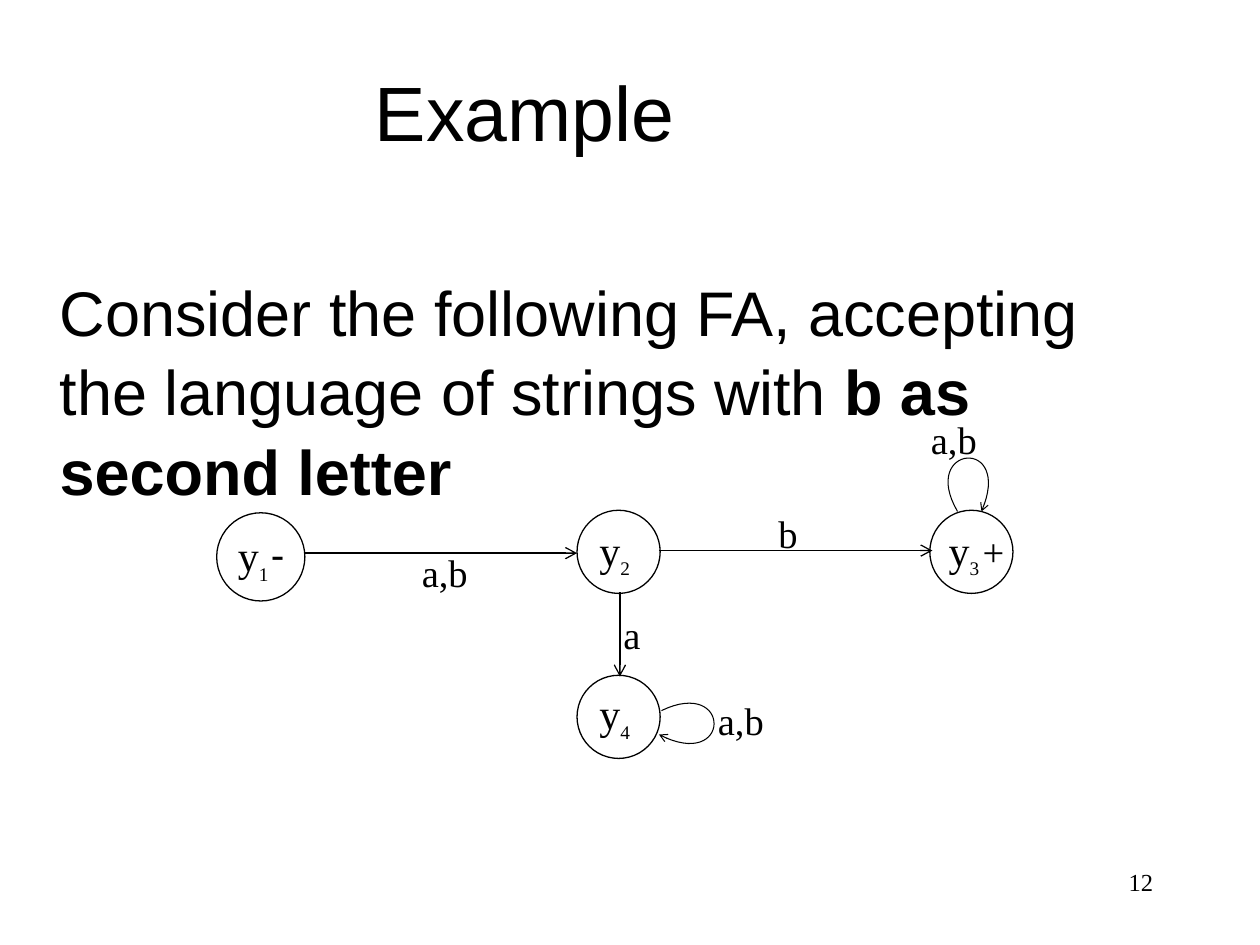
from lxml.etree import SubElement
from pptx import Presentation
from pptx.dml.color import RGBColor
from pptx.enum.shapes import MSO_CONNECTOR, MSO_SHAPE
from pptx.enum.text import MSO_ANCHOR, PP_ALIGN
from pptx.oxml.ns import qn
from pptx.util import Inches, Pt

COLORS = {"ink": "000000", "paper": "FFFFFF"}
SERIF, SANS, SIGN = "Times New Roman", "Arial", "Roboto"
COLS, ROWS = 100, 75  # square grid cells over the slide
CURVE_STEPS = 32

# name: (column, row, diameter, label offset, subscript, sign, sign size, sign font)
STATES = {
    "y1": (0.2, 8.7, 7, (0.7, 0.8), "1", "-", 24, SIGN),
    "y2": (28.8, 8.5, 6.6, (0.8, 0.6), "2", "", 0, ""),
    "y3": (56.8, 8.5, 6.6, (0.5, 0.6), "3", "+", 22, SERIF),
    "y4": (28.8, 21.6, 6.6, (0.8, 0.5), "4", "", 0, ""),
}
ARROWS = [((7.2, 11.9), (28.8, 11.9)), ((35.3, 11.7), (57, 11.7)),
          ((32.2, 15), (32.2, 21.7))]
# Cubic control points: start, two handles, end
LOOPS = [((59, 8.6), (55.9, 3.3), (63.5, 2.6), (60.9, 8.6)),
         ((35.5, 24.4), (41.1, 21.7), (41.1, 29.3), (35.3, 26.3))]
LETTERS = [("a,b", 55.9, 0.5), ("b", 43.8, 8), ("a,b", 15.5, 11.1),
           ("a,b", 39, 22.8), ("a", 31.5, 16)]


def cell(n):
    return Inches(10 * n / COLS)


def color(name):
    return RGBColor.from_string(COLORS[name])


def set_font(font, name, size):
    font.name, font.size = name, Pt(size)
    font.color.rgb = color("ink")


def add_text(slide, box, text, name, size, wrap=True):
    sp = slide.shapes.add_textbox(*map(cell, box))
    tf = sp.text_frame
    tf.word_wrap = wrap
    p = tf.paragraphs[0]
    set_font(p.font, name, size)
    if text:
        p.add_run().text = text
    return p


def style_line(sp, width, head="med"):
    """Thin ink line with an open arrowhead at its end and no shadow."""
    sp.line.color.rgb = color("ink")
    sp.line.width = Pt(width)
    ln = sp.line._get_or_add_ln()
    SubElement(ln, qn("a:tailEnd"), type="arrow", w=head, len=head)


def add_state(slide, x, y, state):
    col, row, size, (dx, dy), index, sign, sign_size, sign_font = state
    x, y = x + col, y + row
    sp = slide.shapes.add_shape(MSO_SHAPE.OVAL, *map(cell, (x, y, size, size)))
    sp.shadow.inherit = False
    sp.fill.solid()
    sp.fill.fore_color.rgb = color("paper")
    sp.line.color.rgb = color("ink")
    sp.line.width = Pt(0.75)

    p = add_text(slide, (x + dx, y + dy, 8, 4.6), "y", SERIF, 24)
    parts = [(index, 19, SERIF, True)]
    if sign:
        parts += [(" ", 13, SERIF, True), (sign, sign_size, sign_font, False)]
    for text, pts, name, lowered in parts:
        r = p.add_run()
        r.text = text
        set_font(r.font, name, pts)
        if lowered:
            r.font._element.set("baseline", "-30000")


def add_arrow(slide, x, y, start, end):
    ends = (x + start[0], y + start[1], x + end[0], y + end[1])
    line = slide.shapes.add_connector(MSO_CONNECTOR.STRAIGHT, *map(cell, ends))
    style_line(line, 0.75)
    SubElement(line._element.spPr, qn("a:effectLst"))


def add_loop(slide, x, y, controls):
    def point(t):
        weights = ((1 - t) ** 3, 3 * t * (1 - t) ** 2, 3 * t * t * (1 - t), t ** 3)
        return tuple(cell(base + sum(w * c[axis] for w, c in zip(weights, controls)))
                     for axis, base in enumerate((x, y)))

    points = [point(i / CURVE_STEPS) for i in range(CURVE_STEPS + 1)]
    builder = slide.shapes.build_freeform(*points[0])
    builder.add_line_segments(points[1:], close=False)
    sp = builder.convert_to_shape()
    sp.fill.background()
    style_line(sp, 0.6, "sm")
    sp.shadow.inherit = False


def add_automaton(slide, x, y):
    for state in STATES.values():
        add_state(slide, x, y, state)
    for start, end in ARROWS:
        add_arrow(slide, x, y, start, end)
    for controls in LOOPS:
        add_loop(slide, x, y, controls)
    for text, col, row in LETTERS:
        add_text(slide, (x + col, y + row, 10, 4.1), text, SERIF, 22)


def add_title(slide, box):
    sp = slide.shapes.title
    sp.left, sp.top, sp.width, sp.height = map(cell, box)
    tf = sp.text_frame
    tf.text = "Example "
    tf.vertical_anchor = MSO_ANCHOR.MIDDLE
    p = tf.paragraphs[0]
    p.alignment = PP_ALIGN.CENTER
    set_font(p.font, SANS, 44)


def add_statement(slide, box):
    p = add_text(slide, box, "Consider the following FA, accepting the language "
                 "of strings with ", SANS, 36)
    p.line_spacing = 1.05
    r = p.add_run()
    r.text = "b as second letter"
    r.font.bold = True


def add_page_number(slide, box):
    p = add_text(slide, box, "12", SERIF, 14)
    p.alignment = PP_ALIGN.RIGHT


def main():
    prs = Presentation()
    prs.slide_width, prs.slide_height = cell(COLS), cell(ROWS)
    slide = prs.slides.add_slide(prs.slide_layouts[5])
    add_title(slide, (0, 2.5, 85, 12.5))
    add_statement(slide, (3.75, 20.9, 85.6, 20))
    add_automaton(slide, 17, 32)
    add_page_number(slide, (71.7, 68.3, 20.8, 5))
    prs.save("out.pptx")


if __name__ == "__main__":
    main()
